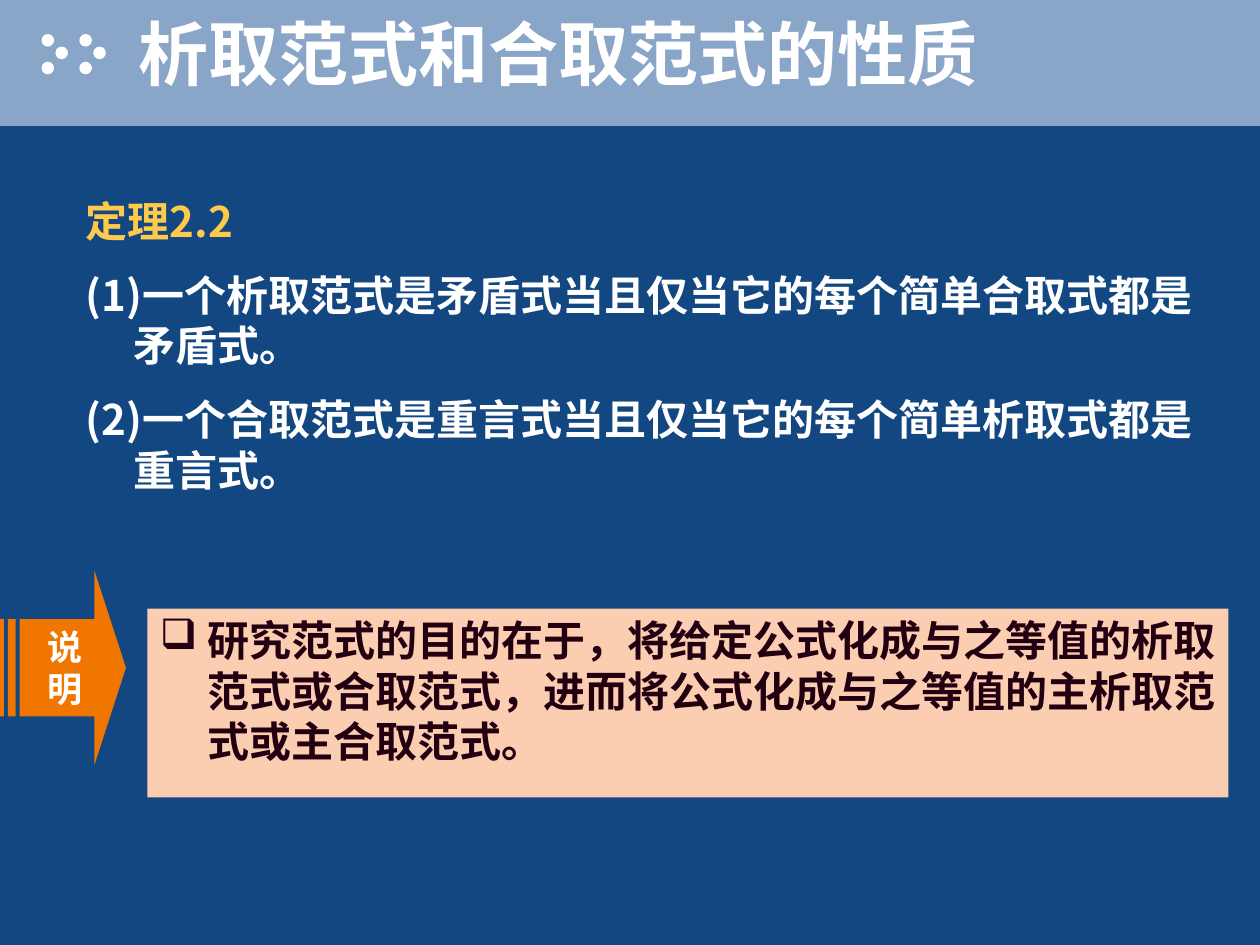
from dataclasses import dataclass
from itertools import product
from lxml import etree
from pptx import Presentation
from pptx.dml.color import RGBColor
from pptx.enum.shapes import MSO_SHAPE
from pptx.enum.text import MSO_ANCHOR, MSO_AUTO_SIZE, PP_ALIGN
from pptx.oxml.ns import qn
from pptx.util import Inches, Pt

RECT, OVAL = MSO_SHAPE.RECTANGLE, MSO_SHAPE.OVAL
ARROW = MSO_SHAPE.STRIPED_RIGHT_ARROW
TOP, MIDDLE = MSO_ANCHOR.TOP, MSO_ANCHOR.MIDDLE
LEFT, CENTER = PP_ALIGN.LEFT, PP_ALIGN.CENTER
FIXED = MSO_AUTO_SIZE.NONE


@dataclass(frozen=True)
class Theme:
    """Colours, fonts and type sizes of the slide."""
    back: str = "134781"
    band: str = "89A5C7"
    light: str = "FFFFFF"
    gold: str = "FFC94C"
    accent: str = "F07600"
    panel: str = "FCCEB1"
    dark: str = "220011"
    face: str = "Noto Sans CJK SC"
    label: str = "Arial"
    head: int = 40
    body: int = 24
    small: int = 20
    gap: float = 13.5
    hang: float = 0.38


THEME = Theme()
TITLE = "析取范式和合取范式的性质"
RULES = (
    ("定理2.2", THEME.gold),
    ("(1)一个析取范式是矛盾式当且仅当它的每个简单合取式都是矛盾式。", THEME.light),
    ("(2)一个合取范式是重言式当且仅当它的每个简单析取式都是重言式。", THEME.light),
)
NOTE = "研究范式的目的在于，将给定公式化成与之等值的析取范式或合取范式，进而将公式化成与之等值的主析取范式或主合取范式。"


def place(shape, box):
    """Move a shape to a box given in inches."""
    shape.left, shape.top, shape.width, shape.height = map(Inches, box)


def draw(shapes, kind, box, color):
    """Add a flat preset shape."""
    shape = shapes.add_shape(kind, *map(Inches, box))
    shape.shadow.inherit = False
    shape.fill.solid()
    shape.fill.fore_color.rgb = RGBColor.from_string(color)
    shape.line.fill.background()
    return shape


def frame(shape, anchor):
    """Ready the text frame of a shape for wrapped text."""
    text = shape.text_frame
    text.word_wrap, text.auto_size = True, FIXED
    text.vertical_anchor = anchor
    return text


def style(para, size, color, face=THEME.face, align=LEFT):
    """Set the font of a paragraph, East Asian face included."""
    para.alignment = align
    font = para.font
    font.name, font.size, font.bold = face, Pt(size), True
    font.color.rgb = RGBColor.from_string(color)
    props = para._p.pPr.find(qn("a:defRPr"))
    etree.SubElement(props, qn("a:ea"), typeface=THEME.face)
    return props


def hang(para, mark=None):
    """Give a paragraph a hanging indent and an optional bullet."""
    para.space_before = Pt(THEME.gap)
    props = para._p.get_or_add_pPr()
    step = Inches(THEME.hang)
    props.set("marL", str(step))
    props.set("indent", str(-step))
    if mark:
        tint = etree.SubElement(props, qn("a:buClr"))
        etree.SubElement(tint, qn("a:srgbClr"), val=THEME.dark)
        etree.SubElement(props, qn("a:buChar"), char=mark)
    else:
        etree.SubElement(props, qn("a:buNone"))


def shade(props):
    """Add a dark shadow to the letters of a font."""
    list_ = etree.Element(qn("a:effectLst"))
    cast = etree.SubElement(list_, qn("a:outerShdw"), dist="35921", dir="2700000")
    etree.SubElement(cast, qn("a:srgbClr"), val=THEME.dark)
    props.find(qn("a:solidFill")).addnext(list_)


def dots(slide, box):
    """Draw two chevrons of three dots in a box."""
    left, top, wide, high = box
    size = 0.1
    group = slide.shapes.add_group_shape()
    chevron = ((0, 0), (0.11, 0.1), (0, high - size))
    for start, (x, y) in product((0, wide - size - 0.11), chevron):
        draw(group.shapes, OVAL, (left + start + x, top + y, size, size), THEME.light)


def header(slide, box):
    """Fill the header band with dots and the title."""
    left, top, wide, high = box
    draw(slide.shapes, RECT, box, THEME.band)
    dots(slide, (left + 0.33, top + 0.27, 0.51, 0.32))
    title = slide.shapes.title
    title.element.getparent().append(title.element)
    place(title, (left + wide / 10, top, wide * 0.9, high * 0.83))
    para = frame(title, MIDDLE).paragraphs[0]
    para.text = TITLE
    shade(style(para, THEME.head, THEME.light))


def theorem(slide, box):
    """Write the theorem into the body placeholder."""
    body = slide.placeholders[1]
    place(body, box)
    text = frame(body, TOP)
    for index, (line, color) in enumerate(RULES):
        para = text.add_paragraph() if index else text.paragraphs[0]
        para.text = line
        hang(para)
        style(para, THEME.body, color)


def remark(slide, box):
    """Place the labelled arrow and the note panel beside it."""
    left, top, wide, high = box
    arrow = draw(slide.shapes, ARROW, (left, top, 1, high), THEME.accent)
    arrow.adjustments[0], arrow.adjustments[1] = 0.5, 0.25
    para = frame(arrow, MIDDLE).paragraphs[0]
    para.text = "说明"
    style(para, THEME.small, THEME.light, THEME.label, CENTER)
    area = (left + 1.17, top + 0.3, wide - 1.17, 1.5)
    panel = draw(slide.shapes, RECT, area, THEME.panel)
    para = frame(panel, TOP).paragraphs[0]
    para.text = NOTE
    hang(para, "❑")
    style(para, THEME.body, THEME.dark)


def main():
    """Build and save the slide."""
    deck = Presentation()
    deck.slide_width, deck.slide_height = Inches(10), Inches(7.5)
    slide = deck.slides.add_slide(deck.slide_layouts[1])
    fill = slide.background.fill
    fill.solid()
    fill.fore_color.rgb = RGBColor.from_string(THEME.back)
    header(slide, (0, 0, 10, 1))
    theorem(slide, (0.58, 1.5, 9.08, 2.92))
    remark(slide, (0, 4.53, 9.75, 1.54))
    deck.save("out.pptx")


if __name__ == "__main__":
    main()
